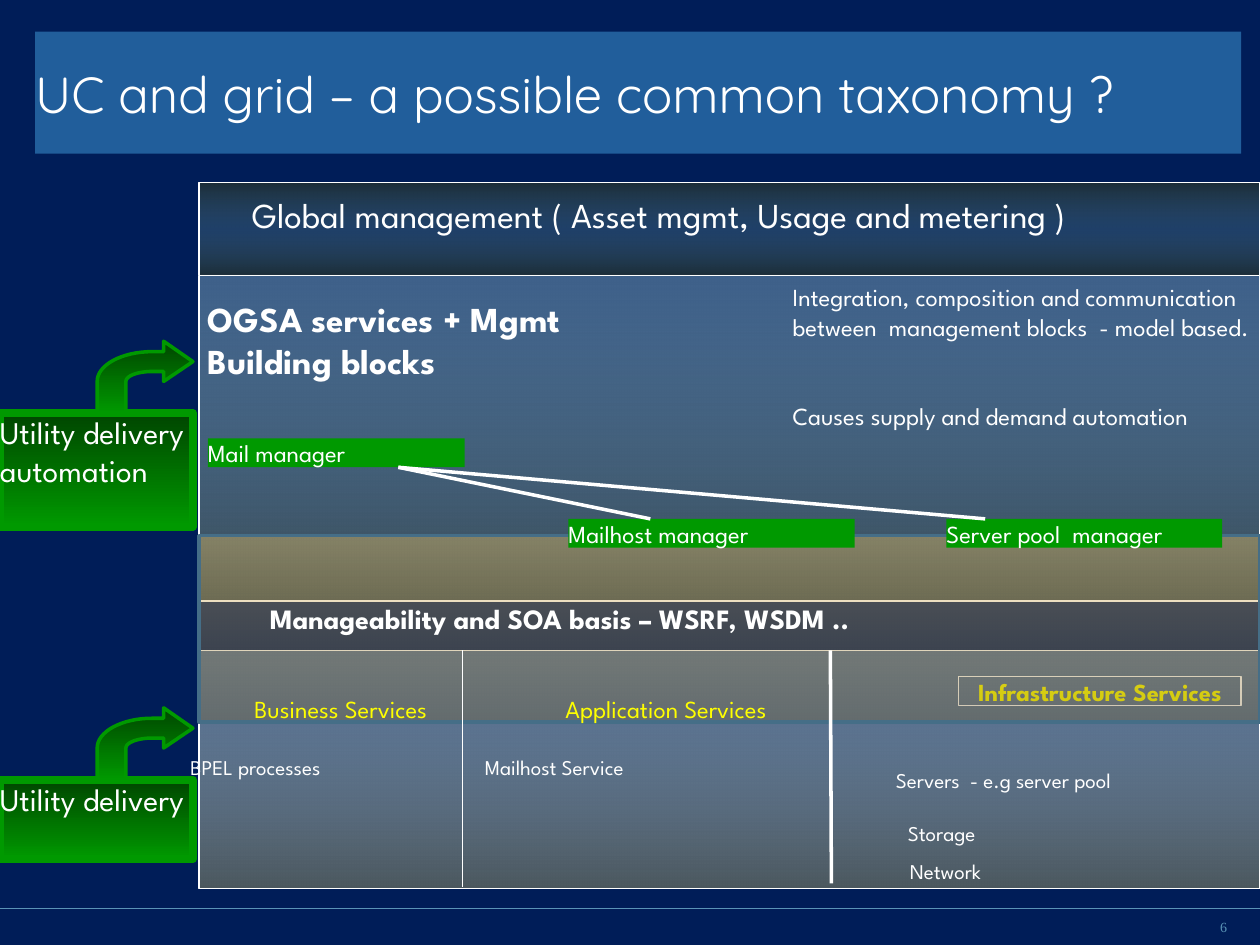
"""Build the slide on a common taxonomy for utility computing and grid."""
import math
from dataclasses import dataclass

import lxml.etree
import pptx
import pptx.dml.color
import pptx.enum.shapes
import pptx.enum.text
import pptx.oxml.ns
import pptx.util

Cm, Pt = pptx.util.Cm, pptx.util.Pt
Align = pptx.enum.text.PP_ALIGN
Anchor = pptx.enum.text.MSO_ANCHOR
qn = pptx.oxml.ns.qn
FONT = "League Spartan"
WHITE, YELLOW, GREEN, STEEL = "FFFFFF", "FFFF00", "009900", "5A93B6"
LEFT, WIDE = 4.01, 21.39


@dataclass
class Stop:
    pos: int
    color: str
    alpha: int = 100


@dataclass
class Box:
    x: float
    y: float
    w: float
    h: float


@dataclass
class Label:
    text: str
    box: Box
    size: float = 12
    color: str = WHITE
    bold: bool = False
    align: Align = Align.LEFT
    inset: tuple = (0, 0)


@dataclass
class Task:
    text: str
    top: float
    height: float


LEAF = [Stop(0, "004600"), Stop(100, GREEN)]


def paint(target, color: str):
    """Set one solid colour on a fill."""
    target.solid()
    target.fore_color.rgb = pptx.dml.color.RGBColor.from_string(color)


def write(shape, text: str, size=12, font=FONT, color=WHITE, bold=False,
          align=Align.LEFT, anchor=Anchor.TOP, inset=(0, 0), gap=0):
    """Put formatted text in a shape, one paragraph for each line."""
    frame = shape.text_frame
    frame.word_wrap = True
    frame.auto_size = pptx.enum.text.MSO_AUTO_SIZE.NONE
    frame.vertical_anchor = anchor
    frame.margin_left = frame.margin_right = Cm(inset[0])
    frame.margin_top = frame.margin_bottom = Cm(inset[1])
    for i, line in enumerate(text.split("\n")):
        para = frame.add_paragraph() if i else frame.paragraphs[0]
        para.alignment = align
        para.space_before = Pt(gap if i else 0)
        run = para.add_run()
        run.text = line
        run.font.name, run.font.size, run.font.bold = font, Pt(size), bold
        paint(run.font.fill, color)


def blend(shape, stops: list[Stop]):
    """Fill a shape with a gradient running from top to bottom."""
    shape.fill.gradient()
    shape.fill.gradient_angle = 270
    ramp = shape._element.spPr.find(qn("a:gradFill")).find(qn("a:gsLst"))
    for old in list(ramp):
        ramp.remove(old)
    for stop in stops:
        node = lxml.etree.SubElement(ramp, qn("a:gs"), pos=str(stop.pos * 1000))
        tint = lxml.etree.SubElement(node, qn("a:srgbClr"), val=stop.color)
        if stop.alpha < 100:
            lxml.etree.SubElement(tint, qn("a:alpha"), val=str(stop.alpha * 1000))


def dress(shape, fill=None, line=None, width=0.75):
    """Give a shape its fill and outline without a shadow."""
    shape.shadow.inherit = False
    if isinstance(fill, list):
        blend(shape, fill)
    elif fill:
        paint(shape.fill, fill)
    else:
        shape.fill.background()
    if line:
        paint(shape.line.fill, line)
        shape.line.width = Pt(width)
    else:
        shape.line.fill.background()


def block(slide, box: Box, fill=None, line=None, width=0.75):
    """Add a rectangle."""
    shape = slide.shapes.add_shape(pptx.enum.shapes.MSO_SHAPE.RECTANGLE,
                                   Cm(box.x), Cm(box.y), Cm(box.w), Cm(box.h))
    dress(shape, fill, line, width)
    return shape


def note(slide, label: Label):
    """Add a text box for a label."""
    box = label.box
    shape = slide.shapes.add_textbox(Cm(box.x), Cm(box.y), Cm(box.w), Cm(box.h))
    write(shape, label.text, label.size, color=label.color, bold=label.bold,
          align=label.align, inset=label.inset, gap=34)
    return shape


def rule(slide, x: float, y: float, to_x: float, to_y: float, color=WHITE, width=0.75):
    """Add a straight line."""
    link = slide.shapes.add_connector(pptx.enum.shapes.MSO_CONNECTOR.STRAIGHT,
                                      Cm(x), Cm(y), Cm(to_x), Cm(to_y))
    paint(link.line.fill, color)
    link.line.width = Pt(width)
    lxml.etree.SubElement(link._element.spPr, qn("a:effectLst"))


def arc(wide: float, high: float) -> list[tuple[float, float]]:
    """Return a quarter ellipse from its left end to its top."""
    turns = [math.pi / 2 * i / 16 for i in range(17)]
    return [(3.07 - wide * math.cos(t), -0.64 - high * math.sin(t)) for t in turns]


def arrow(slide, top: float):
    """Add the bent arrow that rises from a task box."""
    head = [(3.3, -1.24), (3.3, -1.45), (3.89, -1.04), (3.3, -0.64), (3.3, -0.84)]
    dots = [*arc(1.11, 0.6), *head, *reversed(arc(0.53, 0.2)), (2.54, 0)]
    path = slide.shapes.build_freeform(Cm(1.96), Cm(top))
    path.add_line_segments([(Cm(x), Cm(top + y)) for x, y in dots], close=True)
    dress(path.convert_to_shape(), LEAF, GREEN, 2)


def layers(slide):
    """Draw the stacked layers of the taxonomy."""
    block(slide, Box(LEFT, 13.11, WIDE, 4.8),
          [Stop(0, "A8C2D2", 50), Stop(100, "4D5960")], WHITE)
    infra = block(slide, Box(19.33, 13.64, 5.69, 0.58), line=WHITE)
    write(infra, "Infrastructure Services", 14, color=YELLOW, bold=True, align=Align.CENTER)
    block(slide, Box(LEFT, 5.54, WIDE, 6.58),
          [Stop(0, "7DA5BD", 50), Stop(100, "394C57")], WHITE)
    block(slide, Box(LEFT, 10.8, WIDE, 3.76),
          [Stop(0, "FFCF63", 37), Stop(100, "755F2D", 35)], "456E87", 2)
    block(slide, Box(LEFT, 3.68, WIDE, 1.88),
          [Stop(0, "1C2D38"), Stop(50, "3E637A", 50), Stop(100, "1C2D38")], WHITE)
    rule(slide, 16.74, 13.11, 16.76, 17.81, width=2)
    rule(slide, 9.32, 13.11, 9.32, 17.88)


def labels(slide):
    """Write the text of the layers."""
    mid, pad = Align.CENTER, (0.25, 0.13)
    for label in [
        Label("OGSA services + Mgmt Building blocks", Box(4.19, 5.99, 8.92, 1.7), 20, bold=True),
        Label("Manageability and SOA basis – WSRF, WSDM ..",
              Box(5.44, 12.12, 19.13, 0.69), 16, bold=True),
        Label("Mailhost Service", Box(9.45, 15.21, 3.45, 0.51), align=mid),
        Label("Servers  - e.g server pool", Box(17.73, 15.47, 5, 0.51), align=mid),
        Label("Storage", Box(18.21, 16.54, 1.55, 0.51), align=mid),
        Label("BPEL processes", Box(3.84, 15.21, 3.07, 0.51)),
        Label("Network", Box(18.21, 17.3, 1.7, 0.51), align=mid),
        Label("Business Services", Box(4.88, 13.87, 4.47, 2.03), 14, YELLOW, inset=pad),
        Label("Application Services", Box(11.15, 13.87, 6.02, 1.45), 14, YELLOW, inset=pad),
        Label("Global management ( Asset mgmt, Usage and metering )",
              Box(5.08, 3.91, 18.85, 1.7), 20),
        Label("Integration, composition and communication between  management blocks"
              "  - model based.\nCauses supply and demand automation",
              Box(15.98, 5.69, 9.42, 3.58), 14),
    ]:
        note(slide, label)


def main():
    """Build and save the slide."""
    deck = pptx.Presentation()
    deck.slide_width, deck.slide_height = Cm(25.4), Cm(19.05)
    slide = deck.slides.add_slide(deck.slide_layouts[5])
    paint(slide.background.fill, "001D58")
    rule(slide, 0, 18.31, 25.4, 18.31, STEEL)
    title = slide.shapes.title
    title.left, title.top, title.width, title.height = Cm(0.71), Cm(0.64), Cm(24.31), Cm(2.46)
    paint(title.fill, "215E9B")
    write(title, "UC and grid – a possible common taxonomy ?", 29, "Quicksand",
          anchor=Anchor.MIDDLE)
    layers(slide)
    labels(slide)
    for text, x, y, w in [("Server pool  manager", 19.08, 10.46, 5.56),
                          ("Mailhost manager", 11.46, 10.46, 5.77),
                          ("Mail manager", 4.19, 8.84, 5.18)]:
        write(block(slide, Box(x, y, w, 0.58), GREEN), text, 14)
    for end in (19.86, 13.11):
        rule(slide, 8.03, 9.42, end, 10.46, width=2)
    for task in [Task("Utility delivery automation", 8.33, 2.29),
                 Task("Utility delivery", 15.72, 1.6)]:
        write(block(slide, Box(0, task.top, 3.89, task.height), LEAF, GREEN, 4.5), task.text, 18)
        arrow(slide, task.top)
    page = slide.shapes.add_textbox(Cm(23.62), Cm(18.49), Cm(1.12), Cm(0.38))
    write(page, "6", 8, "Times New Roman", STEEL, align=Align.RIGHT, anchor=Anchor.MIDDLE)
    deck.save("out.pptx")


if __name__ == "__main__":
    main()
